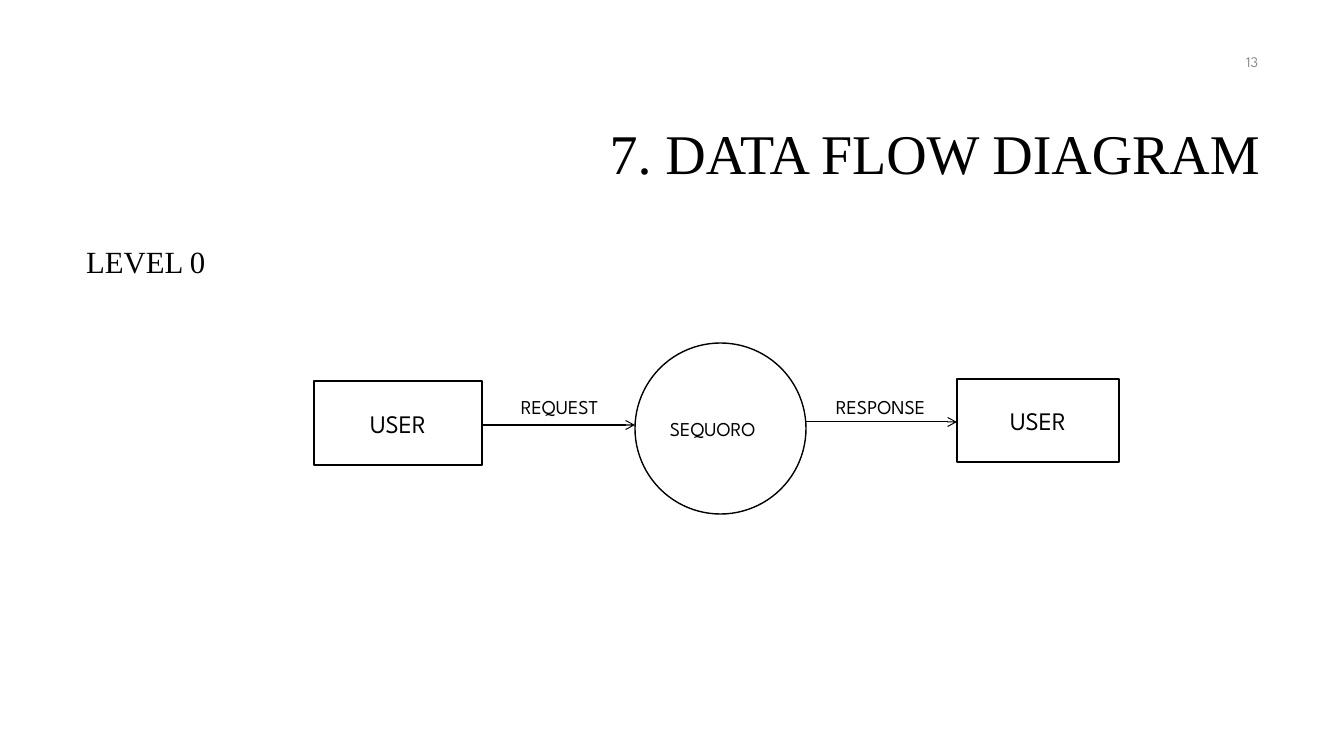
from pptx import Presentation
from pptx.dml.color import RGBColor
from pptx.enum.shapes import MSO_CONNECTOR, MSO_SHAPE
from pptx.enum.text import MSO_ANCHOR, MSO_AUTO_SIZE, PP_ALIGN
from pptx.oxml.ns import qn
from pptx.util import Pt
from lxml.etree import SubElement

PIXEL = 914400 / 100.8
BLACK = RGBColor(0x00, 0x00, 0x00)
WHITE = RGBColor(0xFF, 0xFF, 0xFF)
GRAY = RGBColor(0x8C, 0x8C, 0x8C)
SERIF = "Times New Roman"
SANS = "League Spartan"


def emu(*pixels):
    return [round(value * PIXEL) for value in pixels]


def apply_format(target, values):
    for name, value in values.items():
        setattr(target, name, value)


def move(shape, box):
    apply_format(shape, dict(zip(("left", "top", "width", "height"), emu(*box))))


def write(shape, text, size, font=SANS, color=BLACK, align=PP_ALIGN.LEFT,
          anchor=MSO_ANCHOR.MIDDLE, **spacing):
    frame = shape.text_frame
    apply_format(frame, {"word_wrap": True, "auto_size": MSO_AUTO_SIZE.NONE,
                         "vertical_anchor": anchor})
    paragraph = frame.paragraphs[0]
    apply_format(paragraph, {"alignment": align, **spacing})
    run = paragraph.add_run()
    run.text = text
    apply_format(run.font, {"name": font, "size": Pt(size)})
    run.font.color.rgb = color
    return paragraph


def add_label(slide, box, text, size, **format_values):
    write(slide.shapes.add_textbox(*emu(*box)), text, size, **format_values)


def add_node(slide, kind, box, text, size, align):
    node = slide.shapes.add_shape(kind, *emu(*box))
    node.shadow.inherit = False
    node.fill.solid()
    node.fill.fore_color.rgb = WHITE
    node.line.color.rgb = BLACK
    node.line.width = Pt(1)
    write(node, text, size, align=align)


def add_arrow(slide, start, end, y):
    arrow = slide.shapes.add_connector(MSO_CONNECTOR.STRAIGHT, *emu(start, y, end, y))
    arrow.line.color.rgb = BLACK
    arrow.line.width = Pt(0.75)
    properties = arrow._element.spPr
    SubElement(properties.find(qn("a:ln")), qn("a:tailEnd"), type="arrow")
    SubElement(properties, qn("a:effectLst"))


def add_heading(slide, box):
    left, top, width, height = box
    title, body = slide.placeholders
    move(title, (left + 244, top, width - 242, 142))
    write(title, "7. DATA FLOW DIAGRAM", 40, SERIF, align=PP_ALIGN.RIGHT, line_spacing=0.9)
    move(body, (left, top + 157, width, height - 157))
    paragraph = write(body, "LEVEL 0", 22, SERIF, anchor=MSO_ANCHOR.TOP,
                      line_spacing=0.9, space_before=Pt(10))
    properties = paragraph._p.get_or_add_pPr()
    properties.set("marL", "0")
    properties.set("indent", "0")
    SubElement(properties, qn("a:buNone"))


def add_flow(slide, box):
    left, top, width, height = box
    circle_left = left + 321
    circle_right = circle_left + height
    response_left = left + width - 162
    add_node(slide, MSO_SHAPE.OVAL, (circle_left, top, height, height),
             "SEQUORO", 14, PP_ALIGN.LEFT)
    users = ((left, top + 38, 168, 84), (response_left, top + 36, 162, 83))
    for user_box in users:
        add_node(slide, MSO_SHAPE.RECTANGLE, user_box, "USER", 18, PP_ALIGN.CENTER)
    flows = (("REQUEST", left + 197, left + 168, circle_left, 82),
             ("RESPONSE", left + 512, circle_right, response_left, 79))
    for text, label_left, start, end, offset in flows:
        add_label(slide, (label_left, top + 47, 163, 34), text, 14, anchor=MSO_ANCHOR.TOP)
        add_arrow(slide, start, end, top + offset)


def build_slide(presentation):
    slide = presentation.slides.add_slide(presentation.slide_layouts[1])
    add_heading(slide, (76, 85, 1192, 601))
    add_flow(slide, (314, 343, 805, 171))
    add_label(slide, (966, 42, 302, 40), "13", 10.5, color=GRAY, align=PP_ALIGN.RIGHT)


presentation = Presentation()
apply_format(presentation, dict(zip(("slide_width", "slide_height"), emu(1344, 756))))
build_slide(presentation)
presentation.save("out.pptx")
